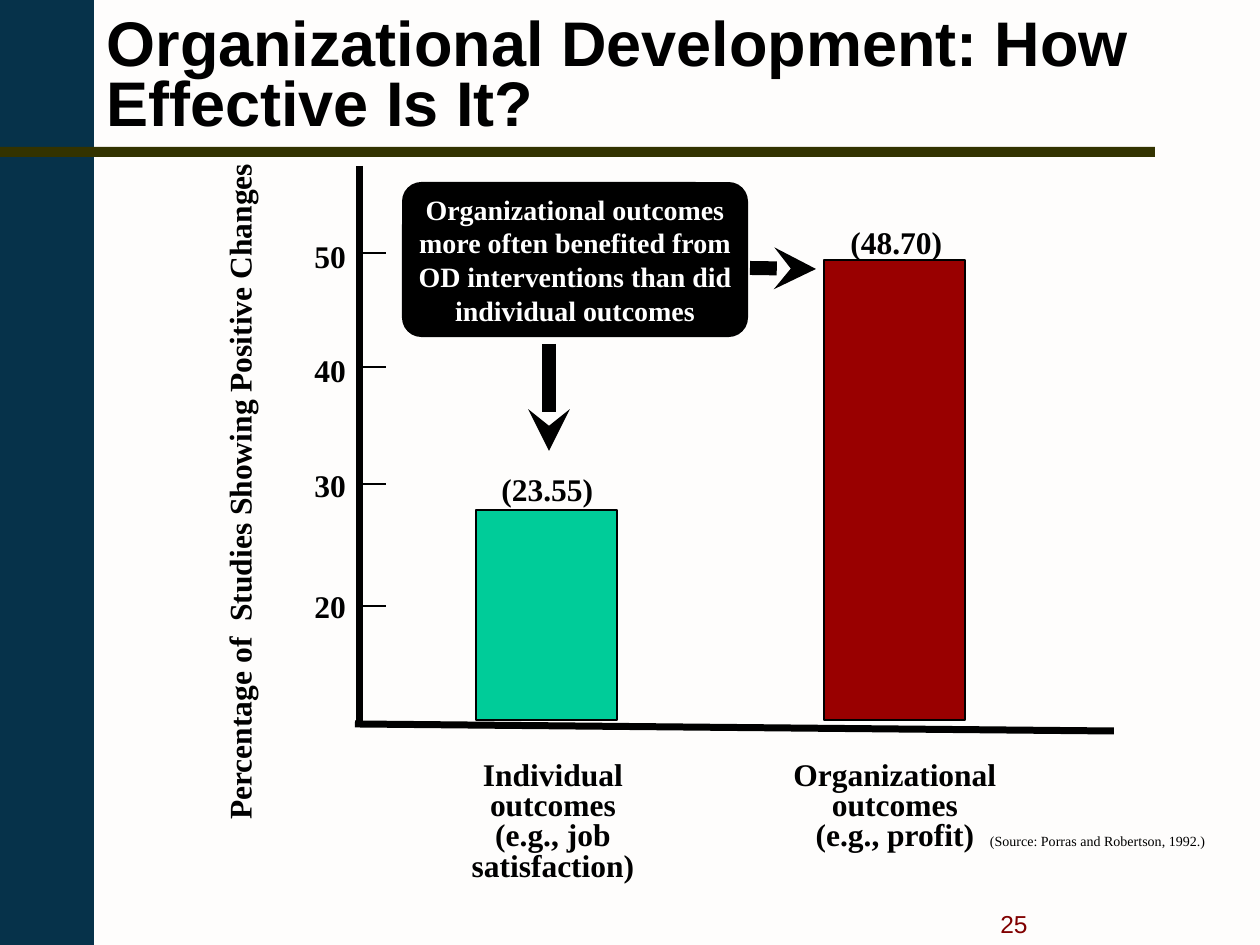
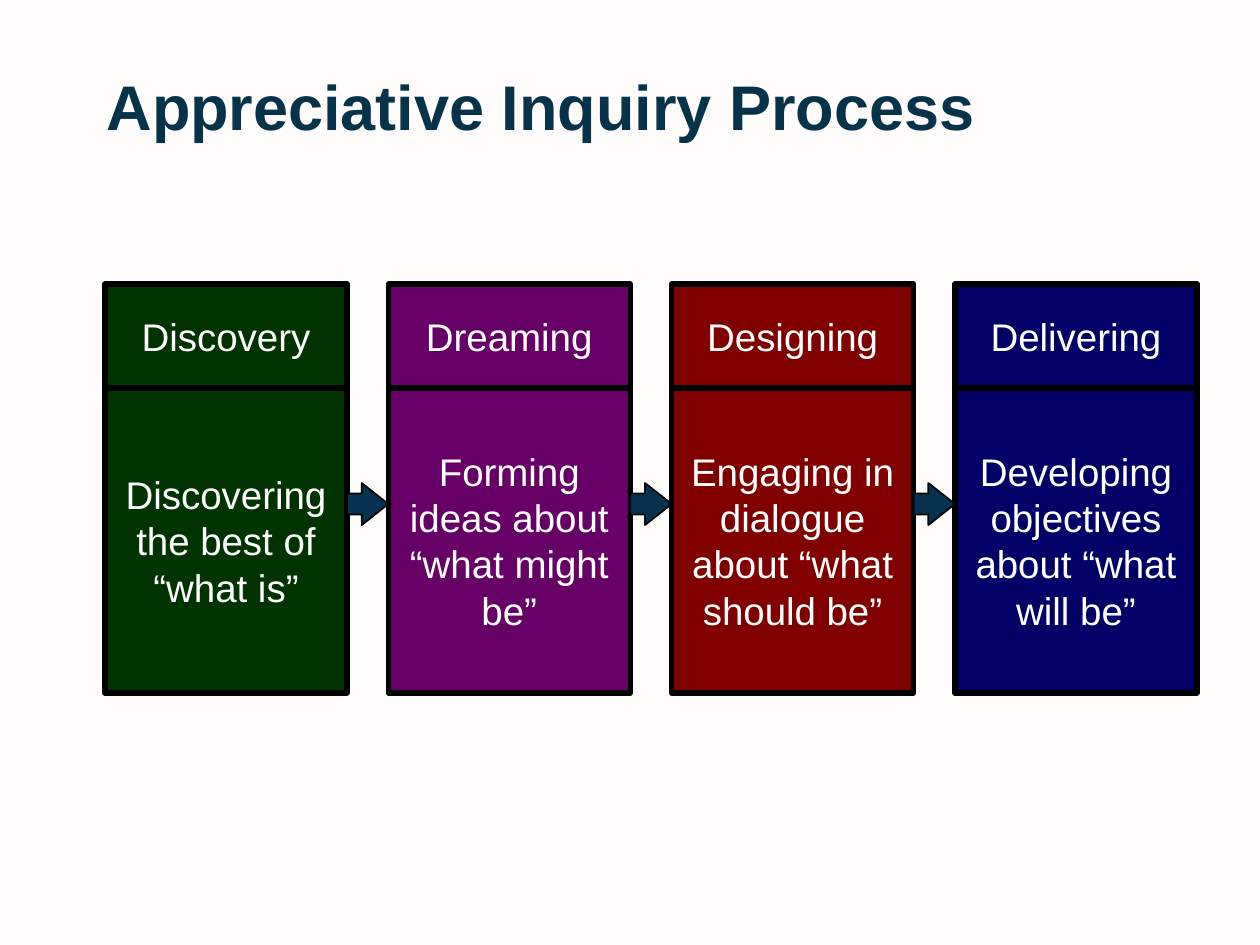
from lxml.etree import SubElement
from pptx import Presentation
from pptx.dml.color import RGBColor
from pptx.enum.shapes import MSO_CONNECTOR, MSO_SHAPE
from pptx.enum.text import MSO_ANCHOR, MSO_AUTO_SIZE, PP_ALIGN
from pptx.oxml.ns import qn
from pptx.util import Emu, Pt

SCALE = 914400 / 126
SLIDE_W, SLIDE_H = 1260, 945
SANS, SERIF = "Arial", "Times New Roman"
LEFT, CENTER, RIGHT = PP_ALIGN.LEFT, PP_ALIGN.CENTER, PP_ALIGN.RIGHT
COLORS = {
    "paper": "FEFDFC", "black": "000000", "white": "FFFFFF",
    "band": "06324A", "rule": "333300", "number": "800000",
    "teal": "00CC99", "crimson": "990000", "arrow": "063250",
    "green": "003300", "purple": "660066", "maroon": "800000", "navy": "000066",
}

EFFECT_TITLE = "Organizational Development: How Effective Is It?"
AXIS_TITLE = "Percentage of  Studies Showing Positive Changes"
SOURCE_NOTE = "(Source: Porras and Robertson, 1992.)"
SLIDE_NUMBER = "25"
CALLOUT = ["Organizational outcomes", "more often benefited from",
           "OD interventions than did", "individual outcomes"]
TICKS = [("20", 606, 581), ("30", 484, 460), ("40", 367, 345), ("50", 253, 231)]
BAR_W, BAR_BOTTOM = 141, 720
BARS = [
    {"left": 476, "top": 510, "fill": "teal",
     "value": "(23.55)", "value_box": (489, 464, 117, 50),
     "label": ["Individual", "outcomes", "(e.g., job", "satisfaction)"],
     "label_box": (459, 756, 188, 134)},
    {"left": 824, "top": 260, "fill": "crimson",
     "value": "(48.70)", "value_box": (838, 217, 117, 50),
     "label": ["Organizational", "outcomes", "(e.g., profit)"],
     "label_box": (781, 756, 228, 103)},
]
AXES = [((360, 166), (360, 722)), ((1114, 731), (355, 724))]
CALLOUT_ARROWS = [((549, 344), (549, 451)), ((750, 268), (816, 269))]

INQUIRY_TITLE = "Appreciative Inquiry Process"
STEPS = [
    ("Discovery", "Discovering the best of “what is”", "green"),
    ("Dreaming", "Forming ideas about “what might be”", "purple"),
    ("Designing", "Engaging in dialogue about “what should be”", "maroon"),
    ("Delivering", "Developing objectives about “what will be”", "navy"),
]
STEPS_LEFT, STEPS_RIGHT, STEP_W = 105, 1197, 242
HEAD_TOP, BODY_TOP, BODY_BOTTOM = 284, 388, 693
ARROW_TOP, ARROW_H = 483, 42


def px(n):
    return Emu(round(n * SCALE))


def rgb(name):
    return RGBColor.from_string(COLORS[name])


def write(sp, lines, size, font=SERIF, color="black", bold=False, align=LEFT,
          spacing=None, anchor=MSO_ANCHOR.TOP, wrap=False):
    tf = sp.text_frame
    tf.text = "\n".join(lines)
    tf.word_wrap = wrap
    tf.auto_size = MSO_AUTO_SIZE.NONE
    tf.vertical_anchor = anchor
    for p in tf.paragraphs:
        p.alignment = align
        p.line_spacing = spacing
        p.font.name, p.font.size, p.font.bold = font, Pt(size), bold
        p.font.color.rgb = rgb(color)


def add_text(slide, box, lines, size, **style):
    sp = slide.shapes.add_textbox(*map(px, box))
    write(sp, lines, size, **style)
    return sp


def add_box(slide, box, fill, line_width=0, kind=MSO_SHAPE.RECTANGLE):
    sp = slide.shapes.add_shape(kind, *map(px, box))
    sp.shadow.inherit = False
    sp.fill.solid()
    sp.fill.fore_color.rgb = rgb(fill)
    if line_width:
        sp.line.color.rgb = rgb("black")
        sp.line.width = Pt(line_width)
    else:
        sp.line.fill.background()
    return sp


def add_line(slide, start, end, width, arrow=False):
    line = slide.shapes.add_connector(
        MSO_CONNECTOR.STRAIGHT, *map(px, start + end))
    line.line.color.rgb = rgb("black")
    line.line.width = Pt(width)
    if arrow:
        SubElement(line.line._get_or_add_ln(), qn("a:tailEnd"), type="stealth")
    SubElement(line._element.spPr, qn("a:effectLst"))


def add_slide(prs, title, box, color, spacing=None):
    slide = prs.slides.add_slide(prs.slide_layouts[5])
    slide.background.fill.solid()
    slide.background.fill.fore_color.rgb = rgb("paper")
    sp = slide.shapes.title
    sp.left, sp.top, sp.width, sp.height = map(px, box)
    write(sp, [title], 36, font=SANS, color=color, bold=True, spacing=spacing,
          anchor=MSO_ANCHOR.MIDDLE, wrap=True)
    return slide


def add_text_shadow(sp):
    r_pr = sp.text_frame.paragraphs[0].runs[0]._r.get_or_add_rPr()
    effects = SubElement(r_pr, qn("a:effectLst"))
    shadow = SubElement(effects, qn("a:outerShdw"), dist="17961", dir="2700000")
    SubElement(shadow, qn("a:srgbClr"), val=COLORS["black"])


def build_effectiveness(prs):
    slide = add_slide(prs, EFFECT_TITLE, (94, 21, 1071, 115), "black", 0.8)
    add_box(slide, (0, 0, 94, SLIDE_H), "band")
    add_box(slide, (0, 147, 1155, 10), "rule")
    add_text(slide, (988, 903, 137, 43), [SLIDE_NUMBER], 14, font=SANS, color="number")

    for start, end in AXES:
        add_line(slide, start, end, 4)
    for label, y, label_top in TICKS:
        add_text(slide, (302, label_top, 57, 50), [label], 18, bold=True)
        add_line(slide, (363, y), (386, y), 1)
    axis_title = add_text(slide, (-102, 466, 682, 50), [AXIS_TITLE], 18, bold=True)
    axis_title.rotation = 270

    for bar in BARS:
        add_box(slide, (bar["left"], bar["top"], BAR_W, BAR_BOTTOM - bar["top"]),
                bar["fill"], 1)
        add_text(slide, bar["value_box"], [bar["value"]], 18, bold=True)
        add_text(slide, bar["label_box"], bar["label"], 18, bold=True,
                 align=CENTER, spacing=0.8)

    callout = add_box(slide, (402, 182, 346, 155), "black",
                      kind=MSO_SHAPE.ROUNDED_RECTANGLE)
    callout.adjustments[0] = 0.125
    write(callout, CALLOUT, 16, color="white", bold=True, align=CENTER,
          anchor=MSO_ANCHOR.MIDDLE)
    for start, end in CALLOUT_ARROWS:
        add_line(slide, start, end, 8, arrow=True)
    add_text(slide, (1008, 809, 210, 63), [SOURCE_NOTE], 8, align=RIGHT,
             anchor=MSO_ANCHOR.MIDDLE)


def build_inquiry(prs):
    slide = add_slide(prs, INQUIRY_TITLE, (94, 53, 1061, 105), "band")
    add_text_shadow(slide.shapes.title)
    gap = (STEPS_RIGHT - STEPS_LEFT - len(STEPS) * STEP_W) / (len(STEPS) - 1)
    for i, (name, detail, fill) in enumerate(STEPS):
        left = STEPS_LEFT + i * (STEP_W + gap)
        for text, top, bottom in ((name, HEAD_TOP, BODY_TOP),
                                  (detail, BODY_TOP, BODY_BOTTOM)):
            sp = add_box(slide, (left, top, STEP_W, bottom - top), fill, 3)
            write(sp, [text], 22, font=SANS, color="white", align=CENTER,
                  anchor=MSO_ANCHOR.MIDDLE, wrap=True)
        if i:
            arrow = add_box(slide, (left - gap, ARROW_TOP, gap, ARROW_H),
                            "arrow", 1, MSO_SHAPE.RIGHT_ARROW)
            arrow.adjustments[1] = 0.644


def main():
    prs = Presentation()
    prs.slide_width, prs.slide_height = px(SLIDE_W), px(SLIDE_H)
    build_effectiveness(prs)
    build_inquiry(prs)
    prs.save("out.pptx")


if __name__ == "__main__":
    main()
